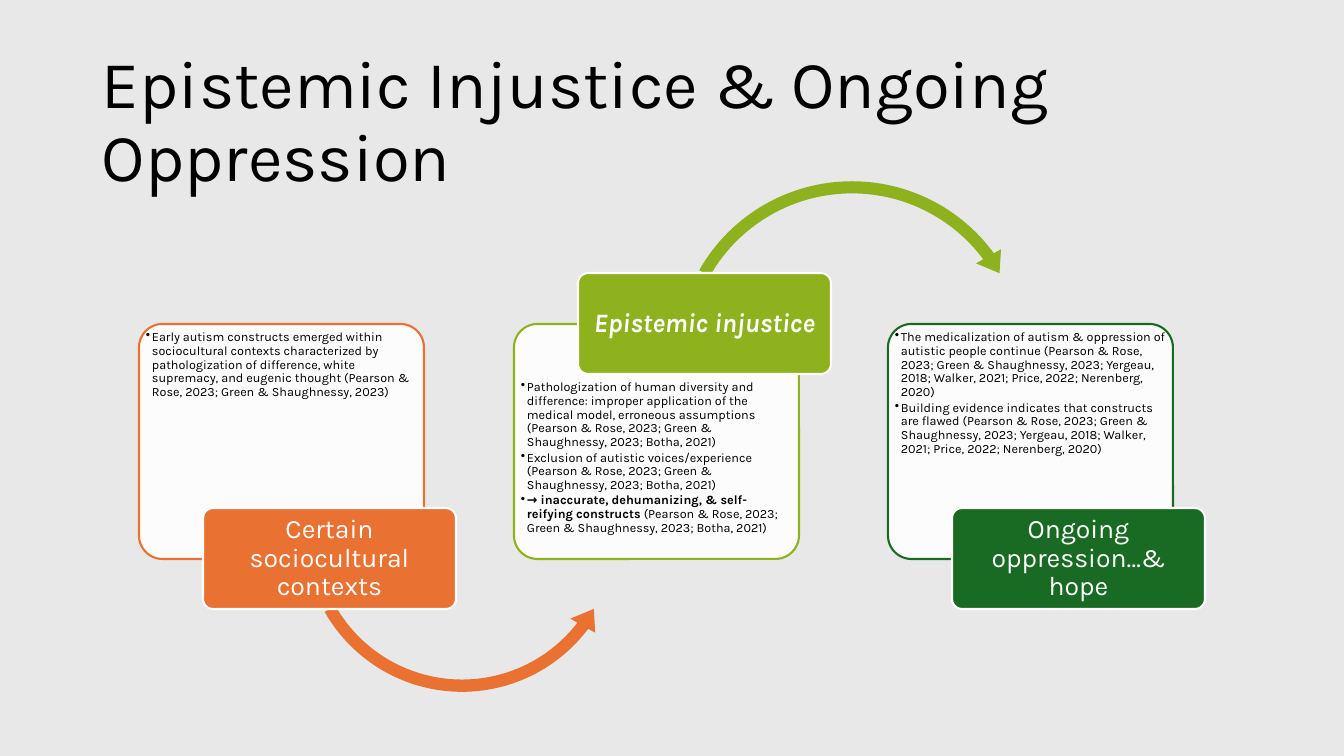
from dataclasses import dataclass
from typing import Optional

from lxml.etree import SubElement
from pptx import Presentation
from pptx.dml.color import RGBColor
from pptx.enum.shapes import MSO_SHAPE as Shape
from pptx.enum.text import MSO_ANCHOR as Anchor, PP_ALIGN as Align
from pptx.oxml.ns import qn
from pptx.util import Emu, Pt


@dataclass(frozen=True)
class Theme:
    font: str = "Karla"
    background: str = "E8E8E8"
    ink: str = "000000"
    white: str = "FFFFFF"
    orange: str = "E97132"
    lime: str = "8EB21E"
    green: str = "196B24"
    title_size: int = 48
    label_size: int = 19
    body_size: int = 9
    outline: float = 1.5
    line_spacing: float = 0.9


@dataclass(frozen=True)
class Run:
    text: str
    bold: bool = False
    italic: bool = False


@dataclass(frozen=True)
class Arrow:
    shape: Shape
    left: int
    top: int
    size: int
    adjustments: tuple[float, ...]


@dataclass(frozen=True)
class Stage:
    left: int
    body_top: int
    label_top: int
    color: str
    label: Run
    bullets: list[list[Run]]
    arrow: Optional[Arrow] = None


THEME = Theme()
CARD_TOP, CARD_W, CARD_H = 324, 285, 235
BODY_DX, BODY_W, BODY_H = 5, 274, 173
LABEL_DX, LABEL_W, LABEL_H = 64, 253, 101
BODY_HIGH, BODY_LOW = 329, 379
LABEL_HIGH, LABEL_LOW = 273, 508
HANG = 6

STAGES = [
    Stage(139, BODY_HIGH, LABEL_LOW, THEME.orange, Run("Certain sociocultural contexts"), [
        [Run("Early autism constructs emerged within sociocultural contexts characterized by "
             "pathologization of difference, white supremacy, and eugenic thought "
             "(Pearson & Rose, 2023; Green & Shaughnessy, 2023)")],
    ], Arrow(Shape.LEFT_CIRCULAR_ARROW, 296, 368, 332, (0.037, 4.574, 22.329, 90.245, 0.043))),
    Stage(514, BODY_LOW, LABEL_HIGH, THEME.lime, Run("Epistemic injustice", True, True), [
        [Run("Pathologization of human diversity and difference: improper application of the "
             "medical model, erroneous assumptions "
             "(Pearson & Rose, 2023; Green & Shaughnessy, 2023; Botha, 2021)")],
        [Run("Exclusion of autistic voices/experience "
             "(Pearson & Rose, 2023; Green & Shaughnessy, 2023; Botha, 2021)")],
        [Run("→ inaccurate, dehumanizing, & self-reifying constructs ", bold=True),
         Run("(Pearson & Rose, 2023; Green & Shaughnessy, 2023; Botha, 2021)")],
    ], Arrow(Shape.CIRCULAR_ARROW, 668, 173, 368, (0.033, 4.086, 194.159, 125.755, 0.039))),
    Stage(888, BODY_HIGH, LABEL_LOW, THEME.green, Run("Ongoing oppression…& hope"), [
        [Run("The medicalization of autism & oppression of autistic people continue "
             "(Pearson & Rose, 2023; Green & Shaughnessy, 2023; Yergeau, 2018; Walker, 2021; "
             "Price, 2022; Nerenberg, 2020)")],
        [Run("Building evidence indicates that constructs are flawed "
             "(Pearson & Rose, 2023; Green & Shaughnessy, 2023; Yergeau, 2018; Walker, 2021; "
             "Price, 2022; Nerenberg, 2020)")],
    ]),
]


def px(n: int) -> Emu:
    return Emu(round(n * 914400 / 100.8))


def rgb(color: str) -> RGBColor:
    return RGBColor.from_string(color)


def add_shape(s, kind: Shape, box: tuple[int, ...], fill: str, line: Optional[str] = None):
    sp = s.shapes.add_shape(kind, *map(px, box))
    sp.shadow.inherit = False
    sp.fill.solid()
    sp.fill.fore_color.rgb = rgb(fill)
    if line:
        sp.line.color.rgb = rgb(line)
        sp.line.width = Pt(THEME.outline)
    else:
        sp.line.fill.background()
    return sp


def set_alpha(sp, percent: int) -> None:
    color = sp.fill._xPr.find(qn("a:solidFill"))[0]
    SubElement(color, qn("a:alpha")).set("val", str(percent * 1000))


def set_frame(tf, inset_x: int, inset_y: int, anchor: Anchor) -> None:
    tf.word_wrap = True
    tf.vertical_anchor = anchor
    tf.margin_left = tf.margin_right = px(inset_x)
    tf.margin_top = tf.margin_bottom = px(inset_y)


def set_bullet(p) -> None:
    pPr = p._p.get_or_add_pPr()
    pPr.set("marL", str(px(HANG)))
    pPr.set("indent", str(-px(HANG)))
    SubElement(pPr, qn("a:buChar")).set("char", "•")


def write(tf, paragraphs: list[list[Run]], size: int, color: str,
          align: Align = Align.LEFT, bullets: bool = False) -> None:
    for i, runs in enumerate(paragraphs):
        p = tf.add_paragraph() if i else tf.paragraphs[0]
        if bullets:
            set_bullet(p)
            p.space_after = Pt(0.15 * size)
        p.alignment = align
        p.line_spacing = THEME.line_spacing
        for run in runs:
            r = p.add_run()
            r.text = run.text
            r.font.name = THEME.font
            r.font.size = Pt(size)
            r.font.bold = run.bold
            r.font.italic = run.italic
            r.font.color.rgb = rgb(color)


def add_title(s, text: str) -> None:
    tf = s.shapes.add_textbox(px(92), px(61), px(1159), px(125)).text_frame
    set_frame(tf, 10, 5, Anchor.MIDDLE)
    write(tf, [[Run(text)]], THEME.title_size, THEME.ink)


def add_stage(s, stage: Stage) -> None:
    # Card with its bullets
    card = add_shape(s, Shape.ROUNDED_RECTANGLE, (stage.left, CARD_TOP, CARD_W, CARD_H),
                     THEME.white, stage.color)
    card.adjustments[0] = 0.1
    set_alpha(card, 90)
    body = s.shapes.add_textbox(px(stage.left + BODY_DX), px(stage.body_top),
                                px(BODY_W), px(BODY_H)).text_frame
    set_frame(body, 2, 2, Anchor.TOP)
    write(body, stage.bullets, THEME.body_size, THEME.ink, bullets=True)

    # Curved arrow to the next stage
    if stage.arrow:
        a = stage.arrow
        arrow = add_shape(s, a.shape, (a.left, a.top, a.size, a.size), stage.color)
        for i, value in enumerate(a.adjustments):
            arrow.adjustments[i] = value

    # Label over the card's edge
    label = add_shape(s, Shape.ROUNDED_RECTANGLE,
                      (stage.left + LABEL_DX, stage.label_top, LABEL_W, LABEL_H),
                      stage.color, THEME.white)
    label.adjustments[0] = 0.1
    set_frame(label.text_frame, 4, 3, Anchor.MIDDLE)
    write(label.text_frame, [[stage.label]], THEME.label_size, THEME.white, Align.CENTER)


def main() -> None:
    prs = Presentation()
    prs.slide_width, prs.slide_height = px(1344), px(756)
    s = prs.slides.add_slide(prs.slide_layouts[6])
    s.background.fill.solid()
    s.background.fill.fore_color.rgb = rgb(THEME.background)
    add_title(s, "Epistemic Injustice & Ongoing Oppression")
    for stage in STAGES:
        add_stage(s, stage)
    prs.save("out.pptx")


if __name__ == "__main__":
    main()
